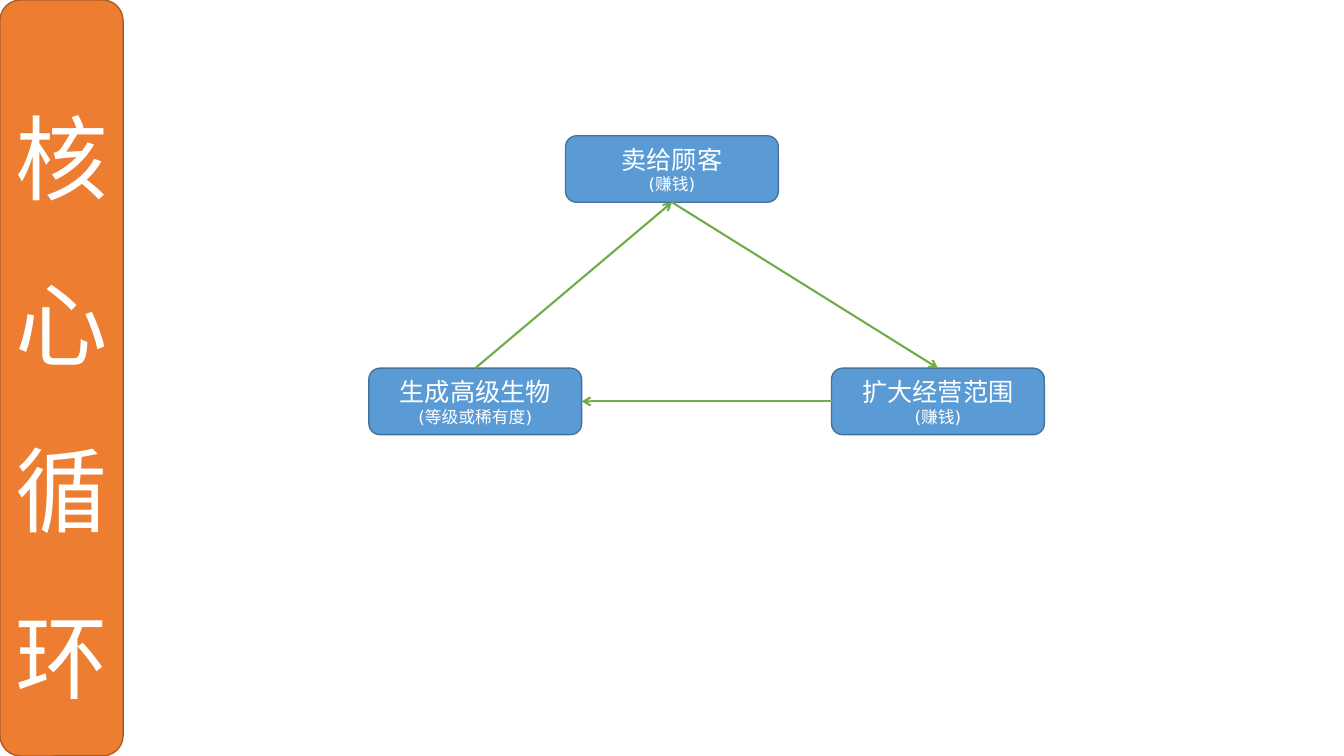
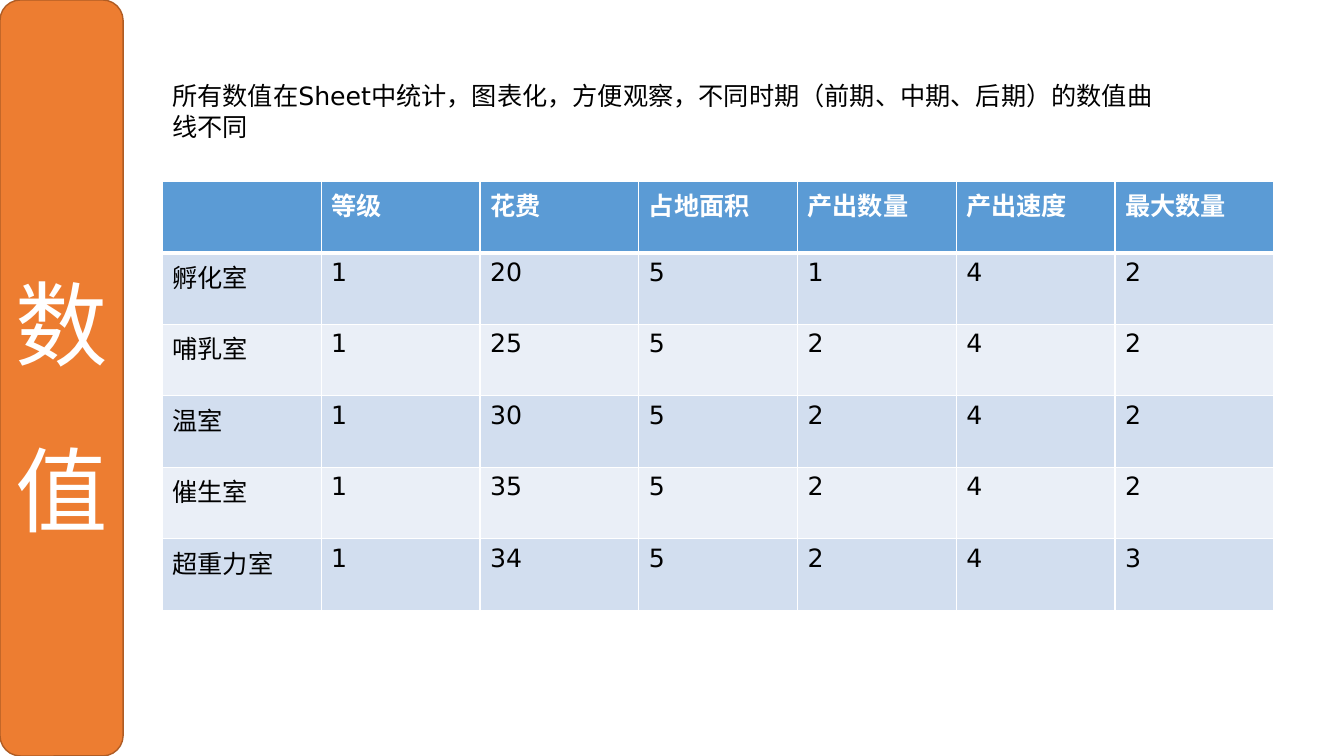
import pptx
import pptx.dml.color
import pptx.enum.lang
import pptx.enum.shapes
import pptx.enum.text
import pptx.oxml
import pptx.oxml.ns
import pptx.util

Pt = pptx.util.Pt
SHAPES = pptx.enum.shapes.MSO_SHAPE
ALIGN = pptx.enum.text.PP_ALIGN
ANCHOR = pptx.enum.text.MSO_ANCHOR
NAMESPACE = pptx.oxml.ns.nsdecls("a")

COLORS = {
    "white": "FFFFFF", "black": "000000",
    "band": "ED7D31", "band_edge": "AF5C24",
    "node": "5B9BD5", "node_edge": "43739E", "arrow": "70AD47",
    "row_dark": "D2DEEF", "row_light": "EAEFF7",
}
LATIN, CHINESE = "DejaVu Sans", "Noto Sans CJK SC"
PAGE_WIDTH, PAGE_HEIGHT = 960, 540
BAND_WIDTH = 88
TOP, LEFT, BOTTOM, RIGHT = range(4)  # connection sites of a rounded box


def rgb(name):
    return pptx.dml.color.RGBColor.from_string(COLORS[name])


def apply(target, values):
    for name, value in values.items():
        setattr(target, name, value)


class SlideBuilder:
    """Holds the deck style and the slide being filled."""

    def __init__(self):
        self.deck = pptx.Presentation()
        apply(self.deck, {"slide_width": Pt(PAGE_WIDTH), "slide_height": Pt(PAGE_HEIGHT)})
        self.page = None

    def start_page(self, title):
        self.page = self.deck.slides.add_slide(self.deck.slide_layouts.get_by_name("Title Only"))
        band = self.rounded_box(0, 0, BAND_WIDTH, PAGE_HEIGHT, "band")
        box = self.page.shapes.title
        # The title stands in front of its band, one character per line
        band.element.addnext(box.element)
        apply(box, {"left": Pt(11), "top": Pt(0), "width": Pt(68), "height": Pt(PAGE_HEIGHT)})
        self.frame(box, 0, 0)
        self.add_words(box.text_frame.paragraphs[0], title, 66, font=CHINESE,
                       alignment=ALIGN.LEFT, line_spacing=1.5)

    def frame(self, box, side, end, anchor=ANCHOR.MIDDLE):
        apply(box.text_frame, {
            "margin_left": Pt(side), "margin_right": Pt(side),
            "margin_top": Pt(end), "margin_bottom": Pt(end),
            "vertical_anchor": anchor, "word_wrap": True,
            "auto_size": pptx.enum.text.MSO_AUTO_SIZE.NONE})

    def add_words(self, para, text, size, color="white", font=LATIN, bold=False, **layout):
        apply(para, layout)
        span = para.add_run()
        span.text = text
        apply(span.font, {
            "name": font, "size": Pt(size), "bold": bold,
            "language_id": pptx.enum.lang.MSO_LANGUAGE_ID.SIMPLIFIED_CHINESE})
        span.font.color.rgb = rgb(color)
        # Chinese characters take their own font
        span.font._element.append(pptx.oxml.parse_xml(
            f'<a:ea {NAMESPACE} typeface="{CHINESE}"/>'))

    def rounded_box(self, left, top, width, height, color):
        box = self.page.shapes.add_shape(
            SHAPES.ROUNDED_RECTANGLE, Pt(left), Pt(top), Pt(width), Pt(height))
        box.shadow.inherit = False
        box.fill.solid()
        box.fill.fore_color.rgb = rgb(color)
        box.line.color.rgb = rgb(color + "_edge")
        box.line.width = Pt(1)
        return box

    def node(self, left, top, label, detail):
        box = self.rounded_box(left, top, 152, 47.5, "node")
        self.frame(box, 7.2, 3.6)
        first = box.text_frame.paragraphs[0]
        self.add_words(first, label, 18, alignment=ALIGN.CENTER)
        self.add_words(box.text_frame.add_paragraph(), detail, 12, alignment=ALIGN.CENTER)
        return box

    def arrow(self, start, start_site, end, end_site):
        line = self.page.shapes.add_connector(
            pptx.enum.shapes.MSO_CONNECTOR.STRAIGHT, 0, 0, 0, 0)
        line.begin_connect(start, start_site)
        line.end_connect(end, end_site)
        line.line.color.rgb = rgb("arrow")
        line.line.width = Pt(1.5)
        outline = line.element.spPr.find(pptx.oxml.ns.qn("a:ln"))
        outline.append(pptx.oxml.parse_xml(f'<a:tailEnd {NAMESPACE} type="arrow"/>'))
        line.element.spPr.append(pptx.oxml.parse_xml(f"<a:effectLst {NAMESPACE}/>"))

    def text(self, left, top, width, height, words):
        box = self.page.shapes.add_textbox(Pt(left), Pt(top), Pt(width), Pt(height))
        self.frame(box, 7.2, 3.6, ANCHOR.TOP)
        self.add_words(box.text_frame.paragraphs[0], words, 18, "black")

    def cell_borders(self, cell, widths):
        properties = cell._tc.get_or_add_tcPr()
        for side, width in widths.items():
            properties.append(pptx.oxml.parse_xml(
                f'<a:ln{side} {NAMESPACE} w="{int(Pt(width))}"><a:solidFill>'
                f'<a:srgbClr val="{COLORS["white"]}"/></a:solidFill></a:ln{side}>'))

    def table(self, left, top, width, height, rows):
        grid = self.page.shapes.add_table(
            len(rows), len(rows[0]), Pt(left), Pt(top), Pt(width), Pt(height)).table
        for row_number, row in enumerate(rows):
            header = row_number == 0
            fill = "node" if header else ("row_light", "row_dark")[row_number % 2]
            for column_number, value in enumerate(row):
                cell = grid.cell(row_number, column_number)
                self.cell_borders(cell, {
                    "L": 1, "R": 1, "T": 3 if row_number == 1 else 1, "B": 3 if header else 1})
                cell.fill.solid()
                cell.fill.fore_color.rgb = rgb(fill)
                if value != "":
                    self.add_words(cell.text_frame.paragraphs[0], str(value), 18,
                                   "white" if header else "black", bold=header)


def main():
    builder = SlideBuilder()

    # Core loop
    builder.start_page("核心循环")
    sell = builder.node(404, 97, "卖给顾客", "(赚钱)")
    expand = builder.node(594, 263, "扩大经营范围", "(赚钱)")
    breed = builder.node(263.5, 263, "生成高级生物", "(等级或稀有度)")
    builder.arrow(sell, BOTTOM, expand, TOP)
    builder.arrow(expand, LEFT, breed, RIGHT)
    builder.arrow(breed, TOP, sell, BOTTOM)

    # Values
    builder.start_page("数值")
    builder.table(116, 129.5, 794, 306.6, [
        ("", "等级", "花费", "占地面积", "产出数量", "产出速度", "最大数量"),
        ("孵化室", 1, 20, 5, 1, 4, 2),
        ("哺乳室", 1, 25, 5, 2, 4, 2),
        ("温室", 1, 30, 5, 2, 4, 2),
        ("催生室", 1, 35, 5, 2, 4, 2),
        ("超重力室", 1, 34, 5, 2, 4, 3),
    ])
    builder.text(116, 54, 726.5, 51,
                 "所有数值在Sheet中统计，图表化，方便观察，不同时期（前期、中期、后期）的数值曲线不同")

    builder.deck.save("out.pptx")


if __name__ == "__main__":
    main()
